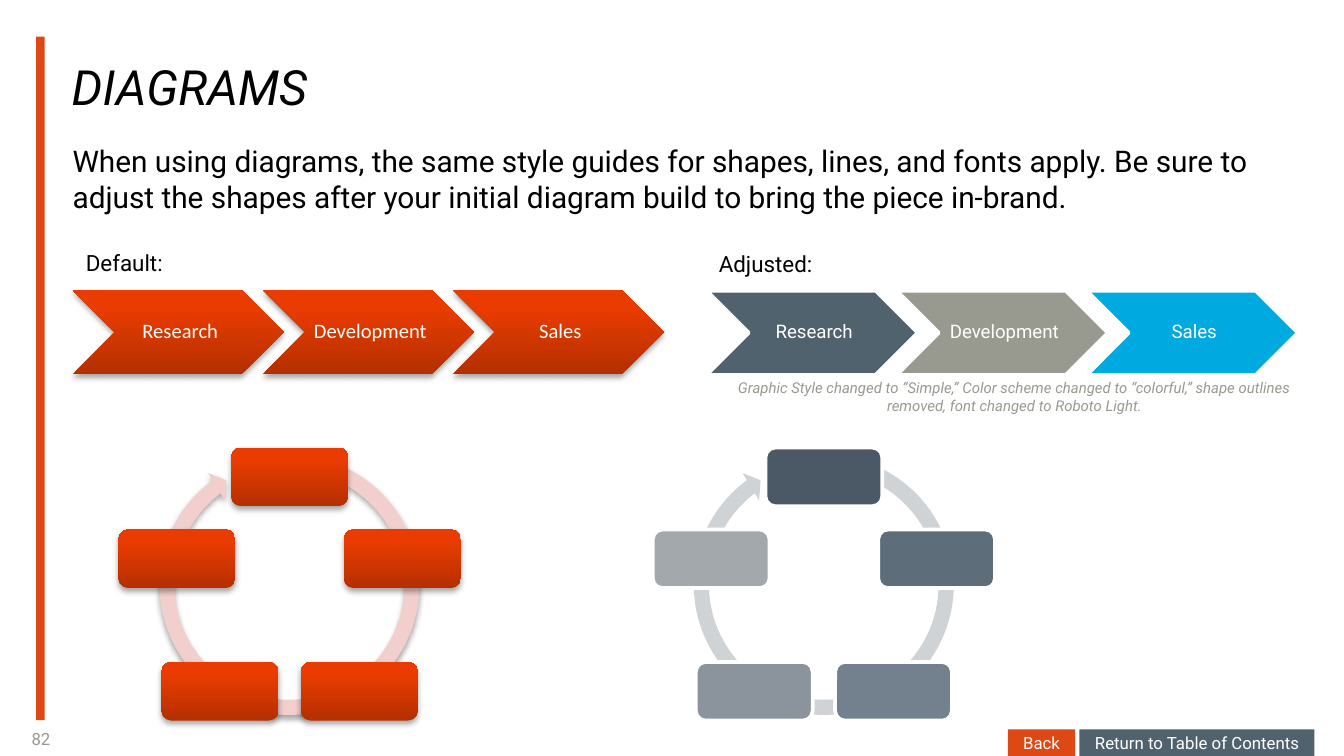
from math import cos, radians, sin

from pptx import Presentation
from pptx.dml.color import RGBColor
from pptx.enum.shapes import MSO_SHAPE as SHAPE
from pptx.enum.text import MSO_ANCHOR as ANCHOR, PP_ALIGN as ALIGN
from pptx.oxml import parse_xml
from pptx.oxml.ns import nsdecls
from pptx.util import Pt

ORANGE, SLATE, GREY, WHITE, BLACK = "DD4814", "51626F", "999A8F", "FFFFFF", "000000"
SHADOW = (
    f'<a:effectLst {nsdecls("a")}><a:outerShdw blurRad="40000" dist="23000" '
    'dir="5400000" rotWithShape="0"><a:srgbClr val="000000"><a:alpha val="35000"/>'
    "</a:srgbClr></a:outerShdw></a:effectLst>"
)


def add_shape(kind, x, y, w, h, fill=None, outline=False, shadow=False):
    """Add a preset shape; without a fill colour it gets the orange gradient."""
    sp = slide.shapes.add_shape(kind, Pt(x), Pt(y), Pt(w), Pt(h))
    if fill:
        sp.fill.solid()
        sp.fill.fore_color.rgb = RGBColor.from_string(fill)
    else:
        sp.fill.gradient()
        sp.fill.gradient_angle = 90
        for stop, (pos, color) in zip(sp.fill.gradient_stops, [(0, "B42F00"), (0.8, "EA3C00")]):
            stop.position = pos
            stop.color.rgb = RGBColor.from_string(color)
    if outline:
        sp.line.color.rgb = RGBColor.from_string(WHITE)
        sp.line.width = Pt(2)
    else:
        sp.line.fill.background()
    sp.shadow.inherit = False
    if shadow:
        effects = sp._element.spPr.find("{*}effectLst")
        effects.getparent().replace(effects, parse_xml(SHADOW))
    return sp


def write(sp, text, size, color, font="Roboto", italic=False, align=ALIGN.LEFT,
          anchor=ANCHOR.MIDDLE, insets=(0, 0, 0, 0)):
    tf = sp.text_frame
    tf.word_wrap = True
    tf.vertical_anchor = anchor
    tf.margin_left, tf.margin_top, tf.margin_right, tf.margin_bottom = map(Pt, insets)
    p = tf.paragraphs[0]
    p.alignment = align
    r = p.add_run()
    r.text = text
    r.font.name, r.font.size, r.font.italic, r.font.bold = font, Pt(size), italic, False
    r.font.color.rgb = RGBColor.from_string(color)
    return p


prs = Presentation()
prs.slide_width, prs.slide_height = Pt(720), Pt(405)
slide = prs.slides.add_slide(prs.slide_layouts[5])

# Side bar
add_shape(SHAPE.RECTANGLE, 19.4, 19.6, 4.5, 366.3, ORANGE)

# Title
title = slide.shapes.title
title.left, title.top, title.width, title.height = Pt(38.4), Pt(18.8), Pt(604.8), Pt(43.2)
write(title, "DIAGRAMS", 26, BLACK, italic=True, anchor=ANCHOR.BOTTOM)

# Page number, body, labels and caption
PAD = (7.2, 7.2, 7.2, 7.2)
INTRO = ("When using diagrams, the same style guides for shapes, lines, and fonts apply. "
         "Be sure to adjust the shapes after your initial diagram build to bring the piece in-brand.")
CAPTION = ("Graphic Style changed to “Simple,” Color scheme changed to “colorful,” "
           "shape outlines removed, font changed to Roboto Light.")
for box, text, size, color, style in [
    ((0, 386.6, 43.9, 18.7), "82", 9, GREY, dict(align=ALIGN.CENTER)),
    ((38.9, 76.3, 663, 309.6), INTRO, 16, BLACK, dict(anchor=ANCHOR.TOP)),
    ((38.9, 125.3, 115.2, 30.2), "Default:", 12, BLACK, dict(insets=PAD)),
    ((378, 126, 115.2, 30.2), "Adjusted:", 12, BLACK, dict(insets=PAD)),
    ((378, 197.3, 331.2, 30.2), CAPTION, 8, GREY,
     dict(italic=True, align=ALIGN.CENTER, insets=PAD)),
]:
    write(slide.shapes.add_textbox(*map(Pt, box)), text, size, color, **style)

# Chevron processes: default and adjusted
STEPS = ["Research", "Development", "Sales"]
for left, top, fills, font, size, insets, default in [
    (38.9, 155.3, [None] * 3, "Calibri", 11, (3.6, 1.4, 1.4, 1.4), True),
    (378.5, 155.7, [SLATE, GREY, "00A9E0"], "Roboto", 10, (2.9, 0.7, 0.7, 0.7), False),
]:
    for i, (step, fill) in enumerate(zip(STEPS, fills)):
        sp = add_shape(SHAPE.CHEVRON, left + 101.8 * i, top, 113.2, 45.2, fill,
                       outline=not default, shadow=default)
        p = write(sp, step, size, WHITE, font, align=ALIGN.CENTER, insets=insets)
        p.line_spacing = 0.9

# Cycles: five boxes on a circle, clockwise from the top
RADIUS, CENTER_Y, BOX_W, BOX_H = 63.5, 319, 62.6, 31.4
GREYS = ["4A5965", "5D6D79", "72818D", "8B949C", "A2A8AC"]
for center_x, ring, fills, default in [
    (155.2, "F2CFCC", [None] * 5, True),
    (441.4, "D0D3D5", GREYS, False),
]:
    arrow = add_shape(SHAPE.CIRCULAR_ARROW, center_x - 74.2, 239.3, 148.3, 148.3, ring,
                      shadow=default)
    for i, value in enumerate([0.055, 3.307, 140.041, 172.486, 0.058]):
        arrow.adjustments[i] = value
    for i, fill in enumerate(fills):
        angle = radians(72 * i)
        add_shape(SHAPE.ROUNDED_RECTANGLE,
                  center_x + RADIUS * sin(angle) - BOX_W / 2,
                  CENTER_Y - RADIUS * cos(angle) - BOX_H / 2,
                  BOX_W, BOX_H, fill, outline=not default, shadow=default)

# Navigation buttons
for x, w, text, fill in [(578.2, 126, "Return to Table of Contents", SLATE),
                         (540, 36, "Back", ORANGE)]:
    sp = add_shape(SHAPE.RECTANGLE, x, 390.8, w, 14.4, fill)
    write(sp, text, 9, WHITE, align=ALIGN.CENTER, insets=(5, 2.9, 5, 2.9))

prs.save("out.pptx")
